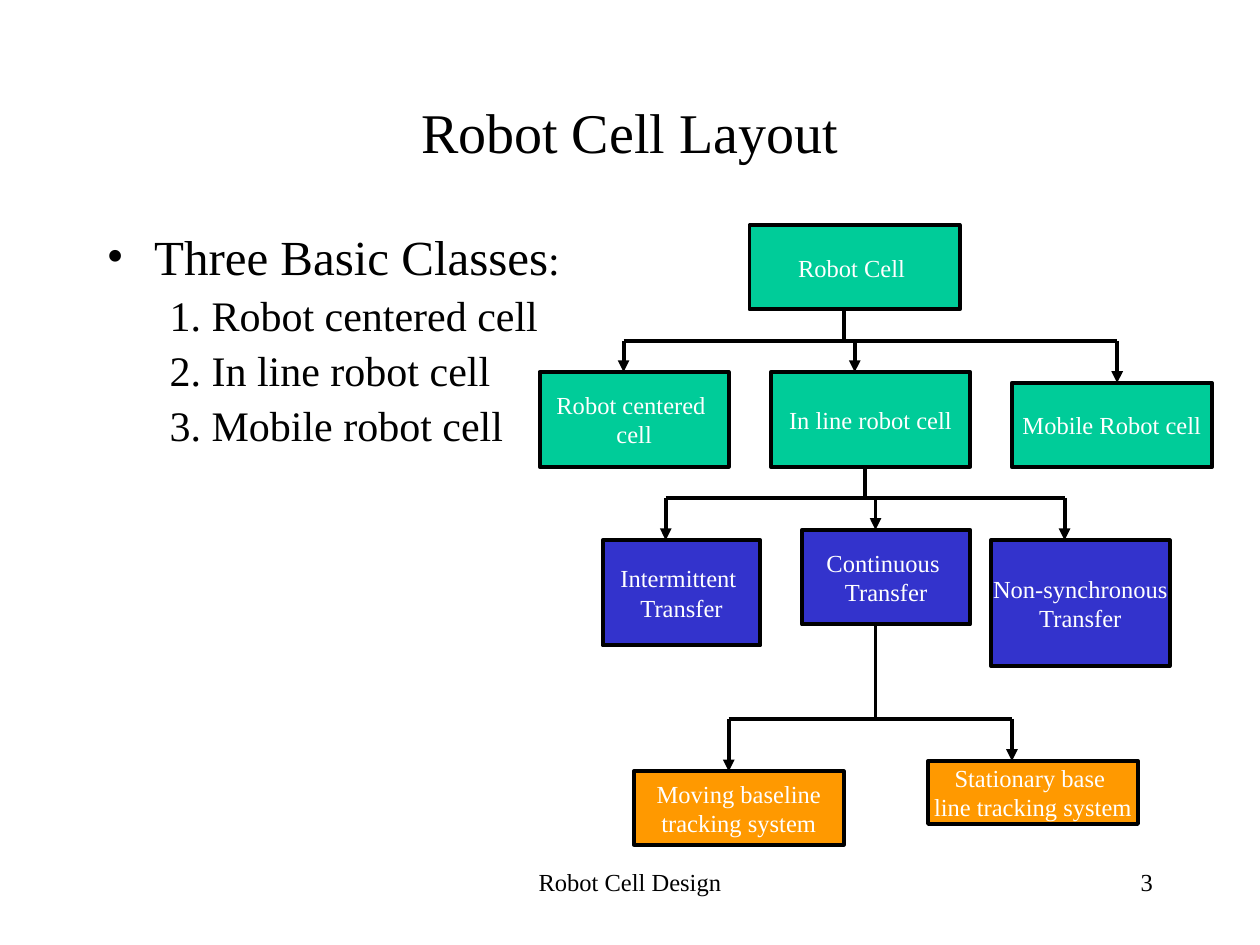
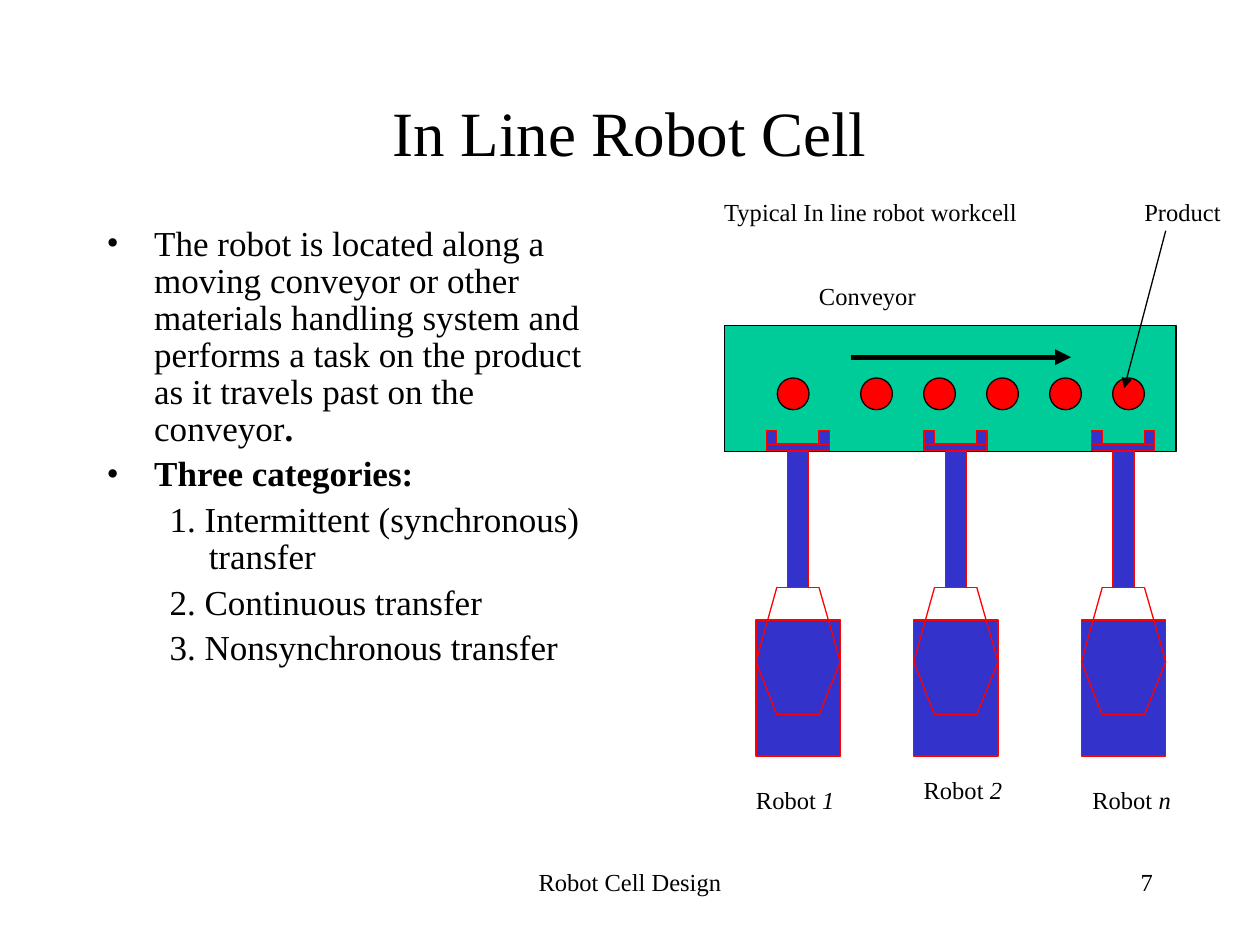
from dataclasses import dataclass
from typing import NamedTuple, Optional

from pptx import Presentation, util as u
from pptx.dml.color import RGBColor
from pptx.enum import shapes, text
from pptx.oxml import ns, xmlchemy

COLORS = {
    "ink": "000000",
    "paper": "FFFFFF",
    "green": "00CC99",
    "blue": "3333CC",
    "orange": "FF9900",
    "red": "FF0000",
}
FONT = "Times New Roman"
LABEL_SIZE = 14
RECT = shapes.MSO_SHAPE.RECTANGLE
OVAL = shapes.MSO_SHAPE.OVAL
LEFT, CENTER, RIGHT = text.PP_ALIGN.LEFT, text.PP_ALIGN.CENTER, text.PP_ALIGN.RIGHT
TOP, MIDDLE = text.MSO_ANCHOR.TOP, text.MSO_ANCHOR.MIDDLE


class Area(NamedTuple):
    left: float
    top: float
    width: float
    height: float


class Span(NamedTuple):
    words: str
    bold: Optional[bool] = None
    italic: Optional[bool] = None
    size: Optional[int] = None


class Para(NamedTuple):
    spans: tuple
    size: int = LABEL_SIZE
    align: int = LEFT
    color: str = "ink"
    bold: bool = False
    bullet: bool = False
    level: int = 0
    spacing: Optional[float] = None
    before: int = 0


class Label(NamedTuple):
    area: Area
    spans: tuple


@dataclass(frozen=True)
class Node:
    area: Area
    fill: str
    lines: tuple


@dataclass(frozen=True)
class Branch:
    parent: Node
    stem: float
    bar: float
    drops: tuple


TITLE = Area(1.9, 1.69, 21.59, 1.91)
FOOTER = Area(8.68, 17.35, 8.04, 1.27)
NUMBER = Area(18.21, 17.35, 5.28, 1.27)

ROOT = Node(Area(15.11, 4.54, 4.24, 1.7), "green", ("Robot Cell ",))
CENTERED = Node(Area(10.88, 7.5, 3.81, 1.91), "green", ("Robot centered ", "cell"))
IN_LINE = Node(Area(15.54, 7.5, 4.02, 1.91), "green", ("In line robot cell",))
MOBILE = Node(Area(20.4, 7.72, 4.03, 1.7), "green", ("Mobile Robot cell",))
INTERMITTENT = Node(Area(12.15, 10.89, 3.18, 2.12), "blue", ("Intermittent ", "Transfer"))
CONTINUOUS = Node(Area(16.17, 10.68, 3.39, 1.91), "blue", ("Continuous ", "Transfer"))
NON_SYNC = Node(Area(19.98, 10.89, 3.6, 2.54), "blue", ("Non-synchronous", "Transfer"))
MOVING = Node(Area(12.78, 15.55, 4.23, 1.48), "orange", ("Moving baseline", "tracking system"))
STATIONARY = Node(Area(18.71, 15.34, 4.23, 1.27), "orange",
                  ("Stationary base ", "line tracking system"))

BRANCHES = (
    Branch(ROOT, 17.02, 6.87, ((12.57, CENTERED), (17.23, IN_LINE), (22.52, MOBILE))),
    Branch(IN_LINE, 17.44, 10.04,
           ((13.42, INTERMITTENT), (17.65, CONTINUOUS), (21.46, NON_SYNC))),
    Branch(CONTINUOUS, 17.65, 14.49, ((14.69, MOVING), (20.4, STATIONARY))),
)

ROBOT_LEFTS = (15.24, 18.42, 21.8)
ROBOT_BASE = Area(0, 12.5, 1.7, 2.74)
ROBOT_BODY = ((0.42, 14.41), (1.27, 14.41), (1.7, 13.34),
              (1.27, 11.84), (0.42, 11.84), (0, 13.34))
ROBOT_ARM = (
    Area(0.64, 9.1, 0.42, 2.74),
    Area(0.21, 8.95, 1.27, 0.14),
    Area(0.21, 8.68, 0.21, 0.28),
    Area(1.27, 8.68, 0.21, 0.28),
)
PRODUCT_LEFTS = (15.67, *(17.35 + 1.27 * step for step in range(5)))

LABELS = (
    Label(Area(14.99, 15.7, 2.5, 0.86), (Span("Robot "), Span("1", italic=True))),
    Label(Area(18.37, 15.49, 2.5, 0.86), (Span("Robot "), Span("2", italic=True))),
    Label(Area(21.77, 15.7, 2.5, 0.86), (Span("Robot "), Span("n", italic=True))),
    Label(Area(16.26, 5.54, 3, 0.86), (Span("Conveyor"),)),
    Label(Area(14.35, 3.84, 7, 0.86), (Span("Typical In line robot workcell"),)),
    Label(Area(22.82, 3.84, 2.5, 0.86), (Span("Product"),)),
)


def rgb(name: str) -> RGBColor:
    return RGBColor.from_string(COLORS[name])


def lengths(values) -> list:
    return [u.Cm(value) for value in values]


def add_xml(parent, tag: str, **attributes: str) -> None:
    element = xmlchemy.OxmlElement(tag)
    for key, value in attributes.items():
        element.set(key, value)
    parent.append(element)


def indent(para, margin: float, hanging: float, bullet: bool) -> None:
    props = para._p.get_or_add_pPr()
    props.set("marL", str(u.Cm(margin)))
    props.set("indent", str(u.Cm(-hanging)))
    if bullet:
        add_xml(props, "a:buFont", typeface=FONT)
        add_xml(props, "a:buChar", char="•")


def write(frame, paras: list) -> None:
    for index, item in enumerate(paras):
        para = frame.paragraphs[0] if index == 0 else frame.add_paragraph()
        para.alignment = item.align
        if item.spacing:
            para.line_spacing = item.spacing
        if index and item.before:
            para.space_before = u.Pt(item.before)
        if item.level:
            para.level = item.level
            indent(para, 2.06, 0.79, False)
        elif item.bullet:
            indent(para, 0.96, 0.96, True)
        font = para.font
        font.name, font.size, font.bold = FONT, u.Pt(item.size), item.bold
        font.color.rgb = rgb(item.color)
        for part in item.spans:
            span = para.add_run()
            span.text = part.words
            if part.bold is not None:
                span.font.bold = part.bold
            if part.italic is not None:
                span.font.italic = part.italic
            if part.size is not None:
                span.font.size = u.Pt(part.size)


def add_text(page, area: Area, paras: list, anchor=TOP) -> None:
    box = page.shapes.add_textbox(*lengths(area))
    frame = box.text_frame
    frame.word_wrap = True
    frame.vertical_anchor = anchor
    write(frame, paras)


def add_box(page, area: Area, fill: str, line: str = "ink", width: float = 0.75, kind=RECT):
    box = page.shapes.add_shape(kind, *lengths(area))
    box.shadow.inherit = False
    box.fill.solid()
    box.fill.fore_color.rgb = rgb(fill)
    box.line.color.rgb = rgb(line)
    box.line.width = u.Pt(width)
    return box


def add_line(page, start: tuple, end: tuple, color: str = "ink",
             width: float = 0.75, arrow: bool = False) -> None:
    line = page.shapes.add_connector(shapes.MSO_CONNECTOR.STRAIGHT, *lengths(start + end))
    line.line.color.rgb = rgb(color)
    line.line.width = u.Pt(width)
    props = line._element.spPr
    if arrow:
        add_xml(props.find(ns.qn("a:ln")), "a:tailEnd", type="triangle")
    add_xml(props, "a:effectLst")


def add_page(deck, title: str, title_size: int, number: int):
    page = deck.slides.add_slide(deck.slide_layouts[6])
    add_text(page, FOOTER, [Para((Span("Robot Cell Design"),), align=CENTER)])
    add_text(page, NUMBER, [Para((Span(str(number)),), align=RIGHT)])
    add_text(page, TITLE, [Para((Span(title),), title_size, CENTER)], MIDDLE)
    return page


def add_node(page, node: Node) -> None:
    box = add_box(page, node.area, node.fill, width=2.25)
    frame = box.text_frame
    frame.word_wrap = False
    frame.vertical_anchor = MIDDLE
    write(frame, [Para((Span(line),), align=CENTER, color="paper") for line in node.lines])


def add_branch(page, branch: Branch) -> None:
    parent = branch.parent.area
    first, last = branch.drops[0][0], branch.drops[-1][0]
    add_line(page, (branch.stem, parent.top + parent.height), (branch.stem, branch.bar), width=2.25)
    add_line(page, (first, branch.bar), (last, branch.bar), width=2.25)
    for x, child in branch.drops:
        add_line(page, (x, branch.bar), (x, child.area.top), width=2.25, arrow=True)


def add_robot(page, left: float) -> None:
    def placed(area: Area) -> Area:
        return area._replace(left=left + area.left)

    add_box(page, placed(ROBOT_BASE), "blue", "red")
    corners = [(left + x, y) for x, y in ROBOT_BODY]
    for start, end in zip(corners, corners[1:] + corners[:1]):
        add_line(page, start, end, "red")
    for part in ROBOT_ARM:
        add_box(page, placed(part), "blue", "red")


def build_layout_page(deck) -> None:
    page = add_page(deck, "Robot Cell Layout", 32, 3)
    classes = ("1. Robot centered cell", "2. In line robot cell", "3. Mobile robot cell")
    heading = Para((Span("Three Basic Classes"), Span(":", size=24)), 28, bullet=True)
    add_text(page, Area(1.9, 4.45, 21.59, 12.5), [heading] + [
        Para((Span(words),), 24, level=1, spacing=0.88, before=6) for words in classes])
    add_node(page, ROOT)
    for branch in BRANCHES:
        for _, child in branch.drops:
            add_node(page, child)
    for branch in BRANCHES:
        add_branch(page, branch)


def build_in_line_page(deck) -> None:
    page = add_page(deck, "In Line Robot Cell", 36, 7)
    intro = ("The robot is located along a moving conveyor or other materials handling "
             "system and performs a task on the product as it travels past on the conveyor")
    categories = ("1. Intermittent (synchronous) transfer", "2. Continuous transfer",
                  "3. Nonsynchronous transfer")
    add_text(page, Area(1.9, 4.45, 10.59, 12.5), [
        Para((Span(intro), Span(".", bold=True)), 20, bullet=True, spacing=0.88),
        Para((Span("Three categories:"),), 20, bold=True, bullet=True, spacing=0.88, before=5),
        *(Para((Span(words),), 20, level=1, spacing=0.88, before=5) for words in categories),
    ])
    add_box(page, Area(14.61, 6.56, 9.1, 2.54), "green")
    for left in PRODUCT_LEFTS:
        add_box(page, Area(left, 7.62, 0.64, 0.64), "red", kind=OVAL)
    add_line(page, (17.15, 7.2), (21.59, 7.2), width=3, arrow=True)
    for left in ROBOT_LEFTS:
        add_robot(page, left)
    for label in LABELS:
        add_text(page, label.area, [Para(label.spans)])
    add_line(page, (23.5, 4.65), (22.66, 7.83), arrow=True)


def main() -> None:
    deck = Presentation()
    deck.slide_width, deck.slide_height = u.Cm(25.4), u.Cm(19.05)
    build_layout_page(deck)
    build_in_line_page(deck)
    deck.save("out.pptx")


if __name__ == "__main__":
    main()
